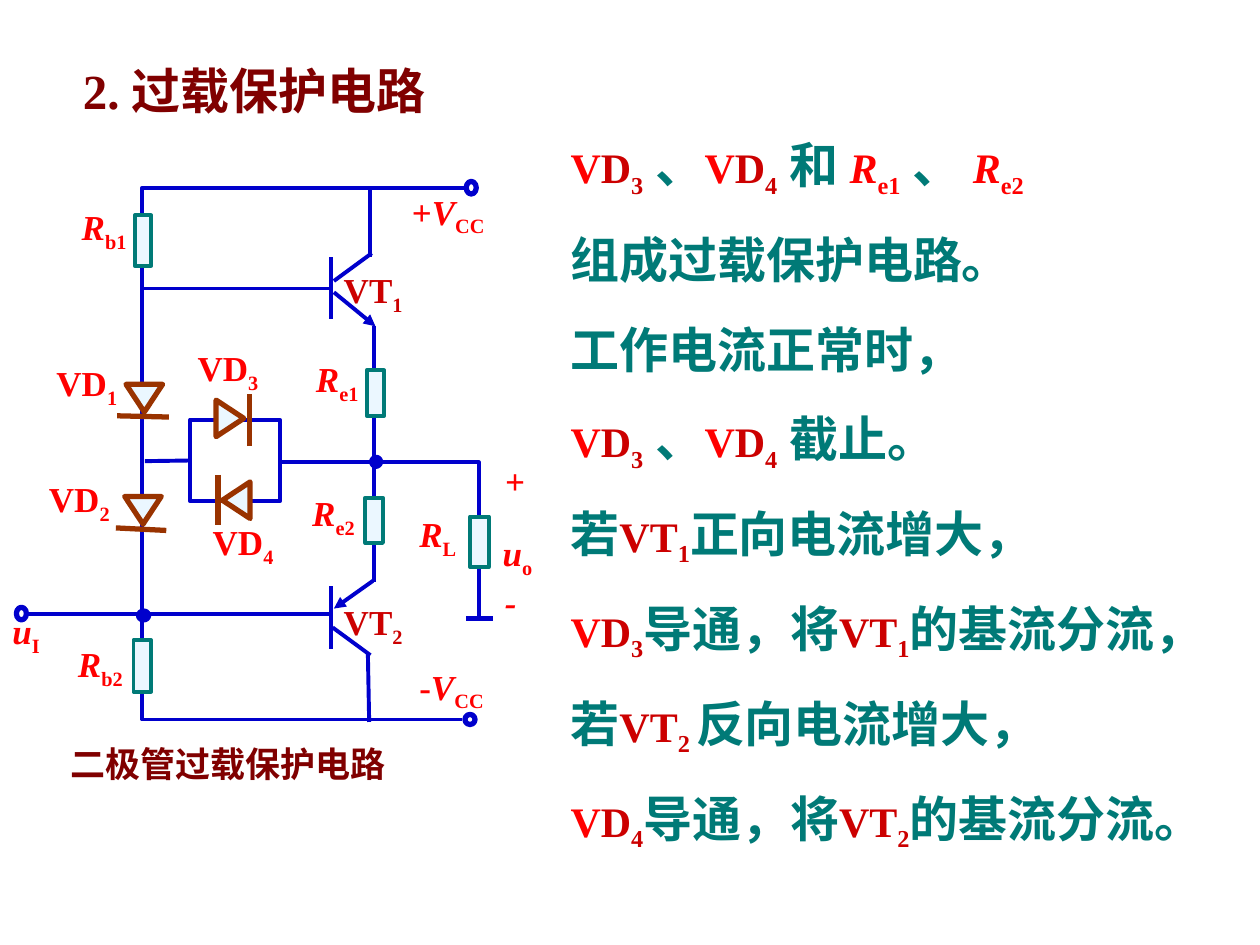
"""Build the slide on the overload protection circuit."""
from pptx import Presentation
from pptx import util as u
from pptx.dml.color import RGBColor
from pptx.enum import shapes as s, text as t
from pptx.oxml import parse_xml
from pptx.oxml.ns import nsdecls

BLUE = RGBColor(0x00, 0x00, 0xCC)
TEAL = RGBColor(0x00, 0x7A, 0x77)
PALE = RGBColor(0xEB, 0xF7, 0xFF)
RED = RGBColor(0xFF, 0x00, 0x00)
DARK = RGBColor(0xCC, 0x00, 0x00)
WINE = RGBColor(0x80, 0x00, 0x00)
RUST = RGBColor(0x99, 0x33, 0x00)
FONT = "Times New Roman"


def word(main, color, low="", size=24, slant=False):
    runs = [(main, size, color, slant, False)]
    return runs + ([(low, size, color, False, True)] if low else [])


def say(line):
    return word(line, TEAL, size=28)


def diode(low):
    return word("V", RED) + word("D", DARK, low)


def trans(low):
    return word("VT", DARK, low)


def res(low):
    return word("R", RED, low, slant=True)


PAIR = diode("3") + say(" 、") + diode("4")
BODY = [
    PAIR + say(" 和 ") + res("e1") + say(" 、 ") + res("e2"),
    say("组成过载保护电路。"),
    say("工作电流正常时，"),
    PAIR + say(" 截止。"),
    say("若") + trans("1") + say("正向电流增大，"),
    diode("3") + say("导通，将") + trans("1") + say("的基流分流，"),
    say("若") + trans("2 ") + say("反向电流增大，"),
    diode("4") + say("导通，将") + trans("2") + say("的基流分流。"),
]
LABELS = [
    ("VD", "1", RED, False, 0.35, 2.82), ("VD", "2", RED, False, 0.29, 3.74),
    ("VD", "3", RED, False, 1.47, 2.7), ("VD", "4", RED, False, 1.59, 4.08),
    ("VT", "1", DARK, False, 2.63, 2.08), ("VT", "2", DARK, False, 2.63, 4.72),
    ("R", "b1", RED, True, 0.55, 1.58), ("R", "b2", RED, True, 0.52, 5.05),
    ("R", "e1", RED, True, 2.41, 2.79), ("R", "e2", RED, True, 2.38, 3.85),
    ("R", "L", RED, True, 3.23, 4.02), ("u", "I", RED, True, 0, 4.79),
    ("u", "o", RED, True, 3.89, 4.17), ("+", "", RED, True, 3.91, 3.6),
    ("-", "", RED, True, 3.91, 4.56),
]
SUPPLY = [("+", 3.17, 1.46), ("-", 3.23, 5.23)]
BENT = [
    [(2.23, 3.67), (3.8, 3.67), (3.8, 4.89)],
    [(3.69, 1.49), (1.13, 1.49), (1.13, 5.71), (3.67, 5.71)],
]
WIRES = [
    (2.97, 2.59, 2.97, 4.62), (0.22, 4.87, 2.63, 4.87),
    (1.13, 2.29, 2.63, 2.29), (2.94, 1.49, 2.94, 2.04),
    (2.92, 5.19, 2.93, 5.73), (2.63, 2.04, 2.63, 2.53),
    (2.65, 2.23, 2.95, 2.01), (2.63, 5.15, 2.63, 4.65),
    (2.64, 4.98, 2.94, 5.2),
]
ARROWS = [(2.65, 2.32, 2.98, 2.59), (2.96, 4.61, 2.65, 4.83)]
NODES = [(1.11, 4.86, 0.06, 0.05), (2.96, 3.64, 0.05, 0.05)]
PORTS = [(0.13, 4.82, 0.08, 0.1), (3.69, 5.67, 0.08, 0.08),
         (3.7, 1.44, 0.08, 0.1)]
RESISTORS = [(1.07, 1.71, 0.13, 0.4), (1.06, 5.08, 0.14, 0.41),
             (2.91, 2.94, 0.14, 0.36), (2.9, 3.95, 0.14, 0.36),
             (3.73, 4.1, 0.15, 0.4)]
DIODES = [
    (1, 3.05, 180, (0.93, 3.3, 1.34, 3.31)),
    (0.99, 3.94, 180, (0.92, 4.19, 1.32, 4.21)),
    (1.68, 3.21, 90, (1.98, 3.54, 1.98, 3.13)),
    (1.73, 3.86, 270, (1.73, 3.77, 1.73, 4.17)),
]

prs = Presentation()
prs.slide_width, prs.slide_height = u.Inches(10), u.Inches(7.5)
slide = prs.slides.add_slide(prs.slide_layouts[6])
art = slide.shapes.add_group_shape().shapes


def inch(vals):
    return [u.Inches(v) for v in vals]


def style(item, fill, color, width):
    item.shadow.inherit = False
    if fill is None:
        item.fill.background()
    else:
        item.fill.solid()
        item.fill.fore_color.rgb = fill
    item.line.color.rgb, item.line.width = color, u.Pt(width)
    return item


def part(kind, at, fill, color, width):
    return style(art.add_shape(kind, *inch(at)), fill, color, width)


def wire(ends, color=BLUE, width=2.25, arrow=False):
    line = art.add_connector(s.MSO_CONNECTOR.STRAIGHT, *inch(ends))
    line.line.color.rgb, line.line.width = color, u.Pt(width)
    props = line._element.spPr
    if arrow:
        props.ln.append(parse_xml(f'<a:tailEnd {nsdecls("a")} type="triangle"/>'))
    props.append(parse_xml(f'<a:effectLst {nsdecls("a")}/>'))
    return line


def write(home, at, lines, gap=0):
    frame = home.add_textbox(*inch(at)).text_frame
    frame.word_wrap = True
    frame.auto_size = t.MSO_AUTO_SIZE.SHAPE_TO_FIT_TEXT
    for n, runs in enumerate(lines):
        para = frame.add_paragraph() if n else frame.paragraphs[0]
        para.space_before = u.Pt(gap if n else 0)
        para.font.name, para.font.bold = FONT, True
        for words, size, color, slant, low in runs:
            run = para.add_run()
            run.text = words
            font = run.font
            font.name, font.bold, font.size = FONT, True, u.Pt(size)
            font.color.rgb, font.italic = color, slant
            if low:
                run._r.get_or_add_rPr().set("baseline", "-25000")


for first, *rest in BENT:
    pen = art.build_freeform(*inch(first))
    pen.add_line_segments([inch(spot) for spot in rest], close=False)
    style(pen.convert_to_shape(), None, BLUE, 2.25)
loop = part(s.MSO_SHAPE.RECTANGLE, (1.51, 3.33, 0.71, 0.65), None, BLUE, 2.25)
wire((1.15, 3.66, 1.51, 3.66)).end_connect(loop, 1)
for ends in WIRES:
    wire(ends)
for ends in ARROWS:
    wire(ends, arrow=True)
wire((3.7, 4.91, 3.91, 4.91), width=3)
for at in NODES:
    part(s.MSO_SHAPE.OVAL, at, BLUE, BLUE, 4.5)
for at in PORTS:
    part(s.MSO_SHAPE.OVAL, at, None, BLUE, 3)
for at in RESISTORS:
    part(s.MSO_SHAPE.RECTANGLE, at, PALE, TEAL, 2.25)
for x, y, turn, bar in DIODES:
    tip = part(s.MSO_SHAPE.ISOSCELES_TRIANGLE, (x, y, 0.29, 0.22), PALE, RUST, 3)
    tip.rotation = turn
    wire(bar, RUST, 3)
for main, low, color, slant, x, y in LABELS:
    write(art, (x, y, 0.9 if low else 0.47, 0.48 if low else 0.44),
          [word(main, color, low, 20, slant)])
for sign, x, y in SUPPLY:
    write(art, (x, y, 0.96, 0.48),
          [word(sign, RED, size=20) + word("V", RED, "CC", 20, True)])
write(art, (0.46, 5.84, 4.25, 0.44), [word("二极管过载保护电路", WINE, size=20)])
write(slide.shapes, (0.56, 0.43, 3.42, 0.57),
      [word("2. 过载保护电路", WINE, size=28)])
write(slide.shapes, (4.43, 1.02, 5.78, 5.8), BODY, 17.5)
prs.save("out.pptx")
